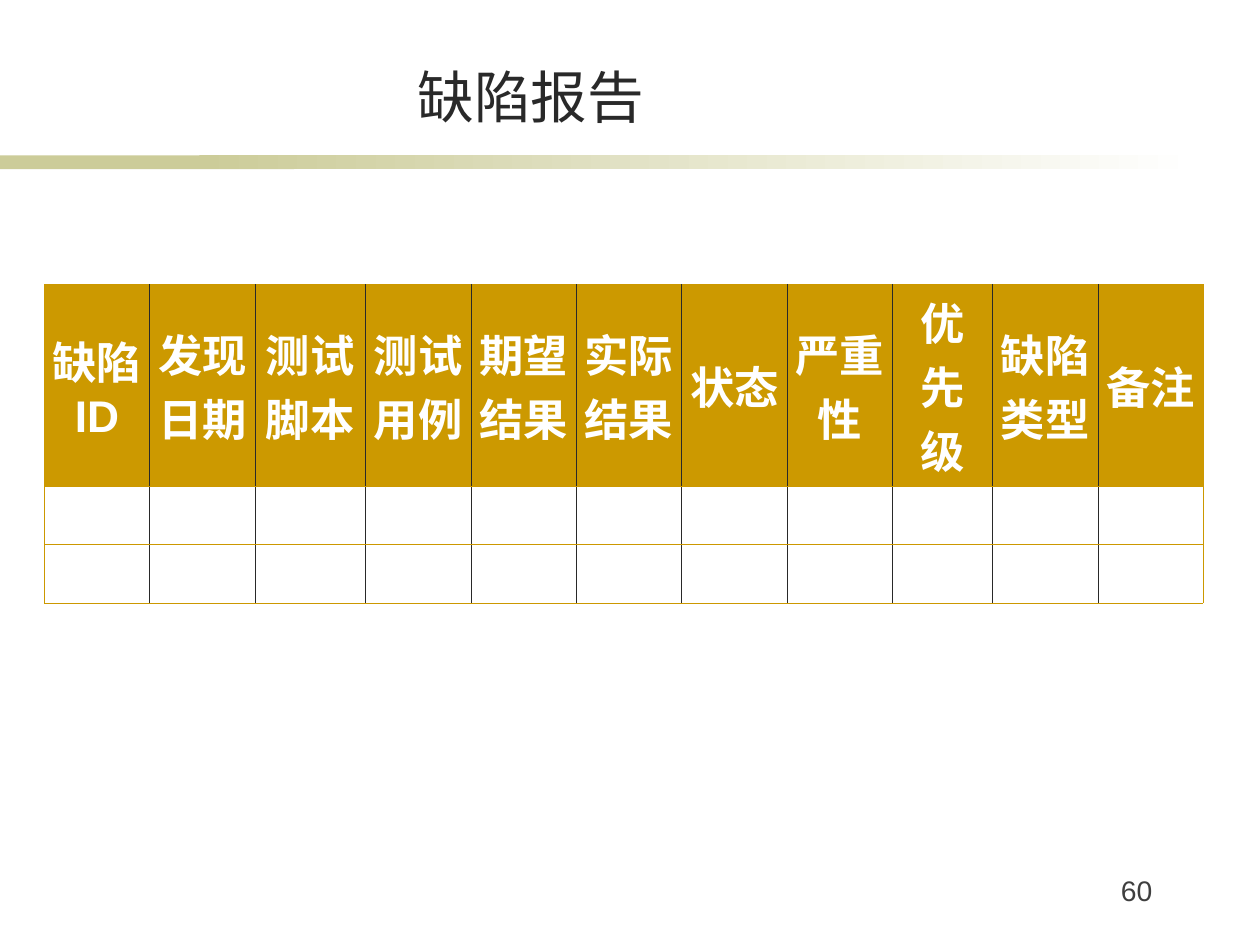
from lxml import etree
from pptx import Presentation
from pptx.dml.color import RGBColor
from pptx.enum.shapes import MSO_SHAPE
from pptx.enum.text import MSO_ANCHOR, MSO_AUTO_SIZE, PP_ALIGN
from pptx.oxml.ns import qn
from pptx.util import Cm, Pt

RECT = MSO_SHAPE.RECTANGLE
MIDDLE, BOTTOM = MSO_ANCHOR.MIDDLE, MSO_ANCHOR.BOTTOM
CENTER, RIGHT = PP_ALIGN.CENTER, PP_ALIGN.RIGHT
NO_FIT = MSO_AUTO_SIZE.NONE

# Content
TITLE = "缺陷报告"
PAGE = "60"
HEADS = ["缺陷ID", "发现日期", "测试脚本", "测试用例", "期望结果", "实际结果",
         "状态", "严重性", "优先级", "缺陷类型", "备注"]
WIDTHS = {"测试脚本": 3.17, "优先级": 2.87}  # other columns use COL
COL = 3.02
ROWS = [4.57, 1.68, 1.68]

FONT = "Arial"
DARK, GRAY, WHITE = "292929", "3F3F3F", "FFFFFF"
GOLD, EDGE, SAND = "CC9900", "CC9800", "CCCC99"


def color(code):
    return RGBColor.from_string(code)


def write(frame, text, size, code, align, bold=False):
    para = frame.paragraphs[0]
    para.alignment = align
    run = para.add_run()
    run.text = text
    font = run.font
    font.name, font.size, font.bold = FONT, Pt(size), bold
    font.color.rgb = color(code)


def inset(frame):
    frame.word_wrap = True
    frame.auto_size = NO_FIT
    frame.margin_left = frame.margin_right = Cm(0.36)
    frame.margin_top = frame.margin_bottom = Cm(0.18)


def border(cell, side, code, width):
    line = etree.SubElement(cell._tc.get_or_add_tcPr(), qn("a:ln" + side))
    line.set("w", str(int(Pt(width))))
    fill = etree.SubElement(line, qn("a:solidFill"))
    etree.SubElement(fill, qn("a:srgbClr")).set("val", code)


def bar(slide, left, width):
    shape = slide.shapes.add_shape(RECT, Cm(left), Cm(4.45), Cm(width), Cm(0.4))
    shape.shadow.inherit = False
    shape.line.fill.background()
    return shape.fill


prs = Presentation()
prs.slide_width, prs.slide_height = Cm(36.12), Cm(27.08)
slide = prs.slides.add_slide(prs.slide_layouts[5])

# Rule under the title: solid, then fading out
fill = bar(slide, 0, 8.43)
fill.solid()
fill.fore_color.rgb = color(SAND)
fade = bar(slide, 5.72, 28.6)
fade.gradient()
fade.gradient_angle = 0
for stop, code, pos in zip(fade.gradient_stops, (SAND, WHITE), (0, 1)):
    stop.color.rgb = color(code)
    stop.position = pos

# Title
title = slide.shapes.title
title.left, title.top = Cm(4.11), Cm(1.6)
title.width, title.height = Cm(22.2), Cm(2.29)
inset(title.text_frame)
title.text_frame.vertical_anchor = BOTTOM
write(title.text_frame, TITLE, 46, DARK, CENTER)

# Defect table
widths = [WIDTHS.get(head, COL) for head in HEADS]
table = slide.shapes.add_table(len(ROWS), len(HEADS), Cm(1.27), Cm(8.15),
                               Cm(sum(widths)), Cm(sum(ROWS))).table
table.first_row = table.horz_banding = False
for col, width in zip(table.columns, widths):
    col.width = Cm(width)
for row, height in zip(table.rows, ROWS):
    row.height = Cm(height)

last = len(HEADS) - 1
for r in range(len(ROWS)):
    for c, head in enumerate(HEADS):
        cell = table.cell(r, c)
        cell.margin_left = cell.margin_right = Cm(0.18)
        cell.margin_top = cell.margin_bottom = Cm(0.13)
        for side, outer in (("L", c == 0), ("R", c == last),
                            ("T", True), ("B", True)):
            border(cell, side, *((EDGE, 0.34) if outer else (DARK, 0.45)))
        if r == 0:
            cell.vertical_anchor = MIDDLE
            cell.fill.solid()
            cell.fill.fore_color.rgb = color(GOLD)
            write(cell.text_frame, head, 36, WHITE, CENTER, True)
        else:
            cell.fill.background()

# Page number
box = slide.shapes.add_textbox(Cm(29.72), Cm(24.84), Cm(3.68), Cm(1.8))
inset(box.text_frame)
write(box.text_frame, PAGE, 23, GRAY, RIGHT)

prs.save("out.pptx")
